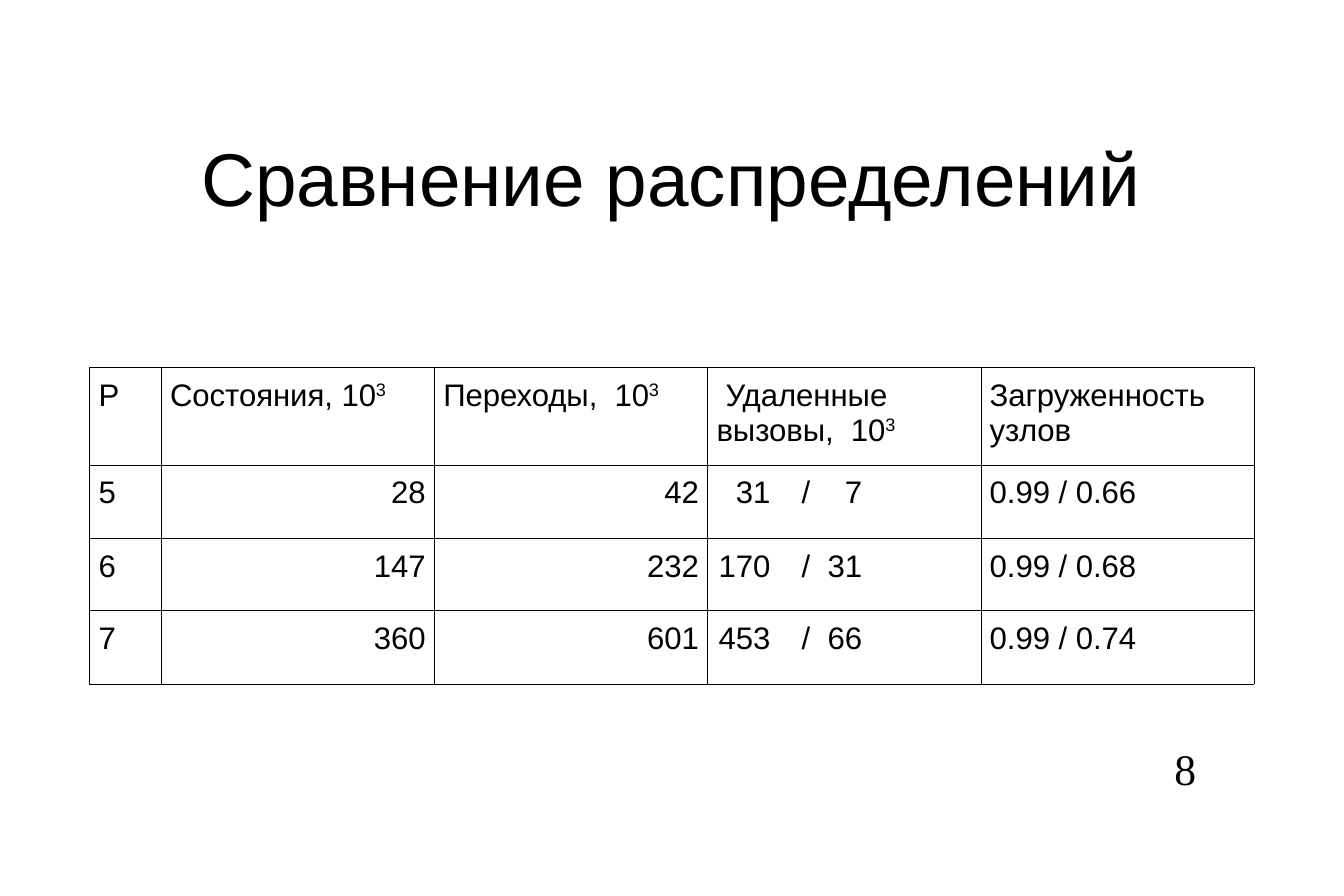
import pptx
import pptx.util
import pptx.dml.color
import pptx.enum.text
import pptx.oxml.ns
import lxml.etree

Inches = pptx.util.Inches
Pt = pptx.util.Pt
Align = pptx.enum.text.PP_ALIGN
Anchor = pptx.enum.text.MSO_ANCHOR
qn = pptx.oxml.ns.qn
BLACK = pptx.dml.color.RGBColor(0, 0, 0)
WHITE = pptx.dml.color.RGBColor(255, 255, 255)


def add_run(para, text, size, font="Arial"):
    run = para.add_run()
    run.text = text
    run.font.size = Pt(size)
    run.font.name = font
    run.font.color.rgb = BLACK
    return run


def add_label(box, text, size, font, align):
    frame = slide.shapes.add_textbox(*[Inches(v) for v in box]).text_frame
    frame.word_wrap = True
    frame.margin_left = frame.margin_right = 0
    frame.margin_top = frame.margin_bottom = 0
    frame.vertical_anchor = Anchor.MIDDLE
    para = frame.paragraphs[0]
    para.alignment = align
    add_run(para, text, size, font)


deck = pptx.Presentation()
deck.slide_width = Inches(6)
deck.slide_height = Inches(4)
slide = deck.slides.add_slide(deck.slide_layouts[6])

# Title
add_label((0.65, 0.57, 4.69, 0.44), "Сравнение распределений", 24, "Arial", Align.CENTER)

# Table data: "^" marks the superscript, tabs line up the paired values
rows = [
    ["P", "Состояния, 10^3", "Переходы,  10^3", "Удаленные вызовы,  10^3", "Загруженность узлов"],
    ["5", "28", "42", "\t31\t/\t7", "0.99 / 0.66"],
    ["6", "147", "232", "\t170\t/\t31", "0.99 / 0.68"],
    ["7", "360", "601", "\t453\t/\t66", "0.99 / 0.74"],
]
widths = [0.32] + [1.22] * 4
heights = [0.43, 0.33, 0.32, 0.33]
stops = [(0.24, "r"), (0.38, "l"), (0.65, "r")]

# Table grid
table = slide.shapes.add_table(
    len(rows), len(widths), Inches(0.4), Inches(1.64),
    Inches(sum(widths)), Inches(sum(heights))).table
table.first_row = table.horz_banding = False
for col, width in zip(table.columns, widths):
    col.width = Inches(width)
for row, height in zip(table.rows, heights):
    row.height = Inches(height)

# Cells
for r, row in enumerate(rows):
    for c, text in enumerate(row):
        cell = table.cell(r, c)
        cell.margin_left = cell.margin_right = Inches(0.04)
        cell.margin_top = cell.margin_bottom = Inches(0.05)

        # Thin black borders, white fill
        props = cell._tc.get_or_add_tcPr()
        for side in ("a:lnL", "a:lnR", "a:lnT", "a:lnB"):
            line = lxml.etree.SubElement(props, qn(side), w=str(Pt(0.06)))
            paint = lxml.etree.SubElement(line, qn("a:solidFill"))
            lxml.etree.SubElement(paint, qn("a:srgbClr"), val=str(BLACK))
        cell.fill.solid()
        cell.fill.fore_color.rgb = WHITE

        # Text
        para = cell.text_frame.paragraphs[0]
        para.alignment = Align.RIGHT if r > 0 and c in (1, 2) else Align.LEFT
        base, mark, power = text.partition("^")
        add_run(para, base, 10)
        if mark:
            run = add_run(para, power, 10)
            run._r.get_or_add_rPr().set("baseline", "33000")

        # Indent and tab stops of the paired column
        if c == 3:
            style = para._p.get_or_add_pPr()
            if r == 0:
                style.set("indent", str(Inches(0.04)))
            else:
                tabs = lxml.etree.SubElement(style, qn("a:tabLst"))
                for place, kind in stops:
                    lxml.etree.SubElement(tabs, qn("a:tab"), pos=str(Inches(place)), algn=kind)

# Page number
add_label((4.13, 3.32, 1.21, 0.22), "8", 14, "Times New Roman", Align.RIGHT)

deck.save("out.pptx")
